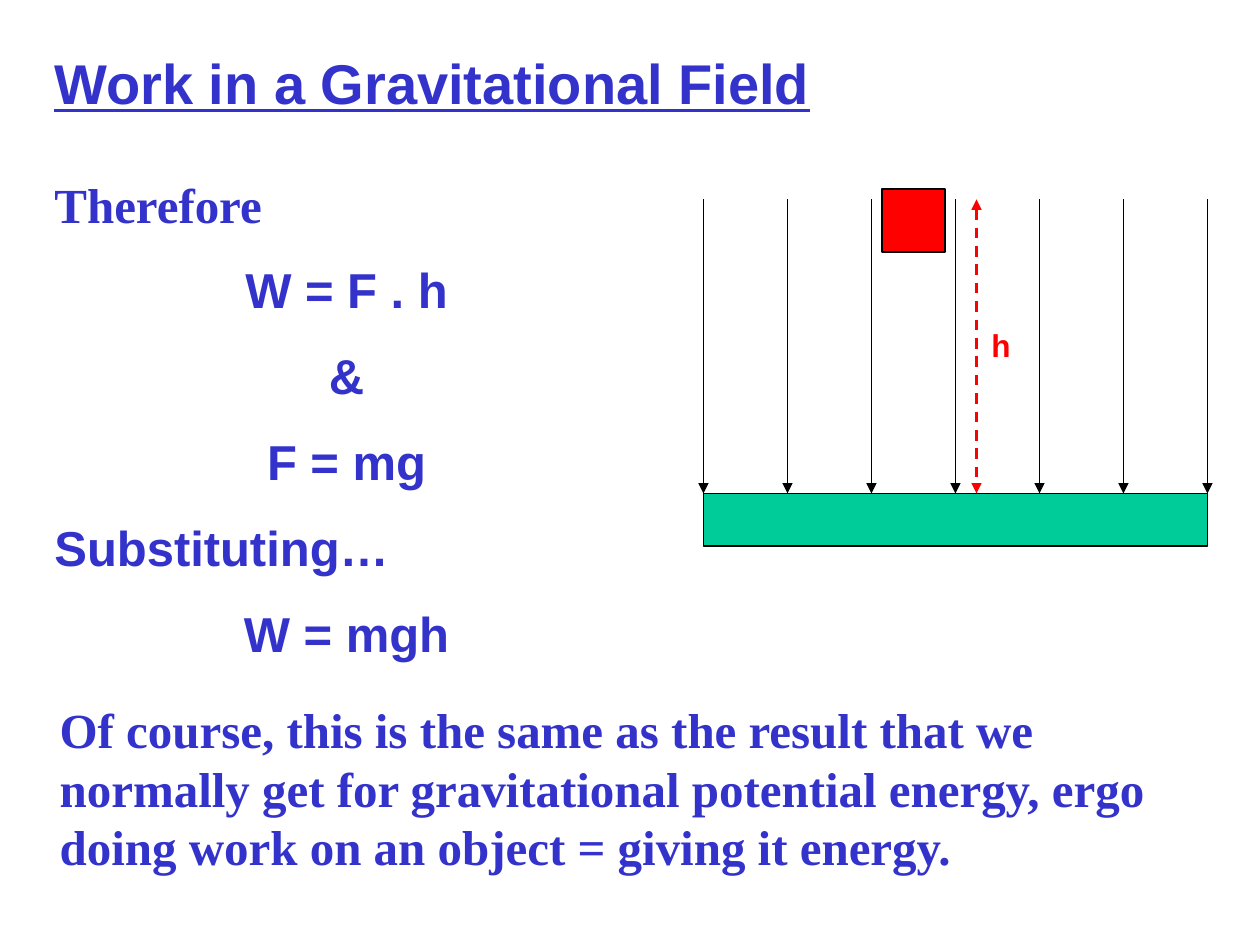
from dataclasses import dataclass

from lxml import etree
from pptx import Presentation
from pptx.dml.color import RGBColor
from pptx.enum.dml import MSO_LINE
from pptx.enum.shapes import MSO_CONNECTOR, MSO_SHAPE
from pptx.enum.text import MSO_AUTO_SIZE, PP_ALIGN
from pptx.oxml.ns import qn
from pptx.shapes.autoshape import Shape
from pptx.shapes.connector import Connector
from pptx.slide import Slide
from pptx.util import Pt

LEFT, CENTER = PP_ALIGN.LEFT, PP_ALIGN.CENTER
RECTANGLE = MSO_SHAPE.RECTANGLE
STRAIGHT = MSO_CONNECTOR.STRAIGHT
DASH = MSO_LINE.DASH
FIT_TEXT = MSO_AUTO_SIZE.SHAPE_TO_FIT_TEXT

COLORS = {"blue": "3333CC", "red": "FF0000", "green": "00CC99", "black": "000000"}
SANS, SERIF = "Arial", "Times New Roman"
FIELD_LEFT, FIELD_TOP, GROUND_TOP = 402, 114, 282
FIELD_LINES, FIELD_GAP = 7, 48
MIDDLE_LINE = FIELD_LINES // 2
HEIGHT_X = 558


@dataclass
class Line:
    text: str
    font: str = SANS
    align: PP_ALIGN = LEFT


@dataclass
class TextBlock:
    left: float
    top: float
    width: float
    height: float
    size: float
    lines: list[Line]
    color: str = "blue"
    underline: bool = False


@dataclass
class Block:
    left: float
    top: float
    width: float
    height: float
    color: str


TEXT_BLOCKS = [
    TextBlock(24, 24, 672, 45.4, 32, [Line("Work in a Gravitational Field")], underline=True),
    TextBlock(24, 96, 348, 296, 28, [
        Line("Therefore", SERIF),
        Line("W = F . h", align=CENTER),
        Line("&", align=CENTER),
        Line("F = mg", align=CENTER),
        Line("Substituting…"),
        Line("W = mgh", align=CENTER),
    ]),
    TextBlock(559.5, 183, 39, 29, 18, [Line("h")], "red"),
    TextBlock(27, 396, 669, 108.7, 28, [Line(
        "Of course, this is the same as the result that we normally get for "
        "gravitational potential energy, ergo doing work on an object = giving it energy.",
        SERIF)]),
]
GROUND = Block(FIELD_LEFT, GROUND_TOP, FIELD_GAP * (FIELD_LINES - 1), 30, "green")
MASS = Block(504, 108, 36, 36, "red")


def rgb(name: str) -> RGBColor:
    return RGBColor.from_string(COLORS[name])


def add_text(page: Slide, block: TextBlock) -> None:
    box = page.shapes.add_textbox(Pt(block.left), Pt(block.top), Pt(block.width), Pt(block.height))
    frame = box.text_frame
    frame.word_wrap = True
    frame.auto_size = FIT_TEXT
    for index, line in enumerate(block.lines):
        para = frame.add_paragraph() if index else frame.paragraphs[0]
        para.alignment = line.align
        if index:
            para.space_before = Pt(block.size * 0.55)
        span = para.add_run()
        span.text = line.text
        formats = {"name": line.font, "size": Pt(block.size), "bold": True,
                   "underline": block.underline}
        for name, value in formats.items():
            setattr(span.font, name, value)
        span.font.color.rgb = rgb(block.color)


def add_block(page: Slide, block: Block) -> Shape:
    shape = page.shapes.add_shape(
        RECTANGLE, Pt(block.left), Pt(block.top), Pt(block.width), Pt(block.height))
    shape.shadow.inherit = False
    shape.fill.solid()
    shape.fill.fore_color.rgb = rgb(block.color)
    shape.line.color.rgb = rgb("black")
    shape.line.width = Pt(0.75)
    return shape


def add_arrow(page: Slide, x: float, color: str, width: float, ends: list[str]) -> Connector:
    arrow = page.shapes.add_connector(STRAIGHT, Pt(x), Pt(FIELD_TOP), Pt(x), Pt(GROUND_TOP))
    arrow.line.color.rgb = rgb(color)
    arrow.line.width = Pt(width)
    outline = arrow.line._get_or_add_ln()
    for end in ends:
        etree.SubElement(outline, qn(f"a:{end}"), type="triangle")
    etree.SubElement(arrow._element.spPr, qn("a:effectLst"))
    return arrow


def main() -> None:
    deck = Presentation()
    deck.slide_width, deck.slide_height = Pt(720), Pt(540)
    page = deck.slides.add_slide(deck.slide_layouts[6])
    ground = add_block(page, GROUND)
    for index in range(FIELD_LINES):
        arrow = add_arrow(page, FIELD_LEFT + index * FIELD_GAP, "black", 0.75, ["tailEnd"])
        if index == MIDDLE_LINE:
            arrow.end_connect(ground, 0)
    add_block(page, MASS)
    height_arrow = add_arrow(page, HEIGHT_X, "red", 1.5, ["headEnd", "tailEnd"])
    height_arrow.line.dash_style = DASH
    for block in TEXT_BLOCKS:
        add_text(page, block)
    deck.save("out.pptx")


if __name__ == "__main__":
    main()
